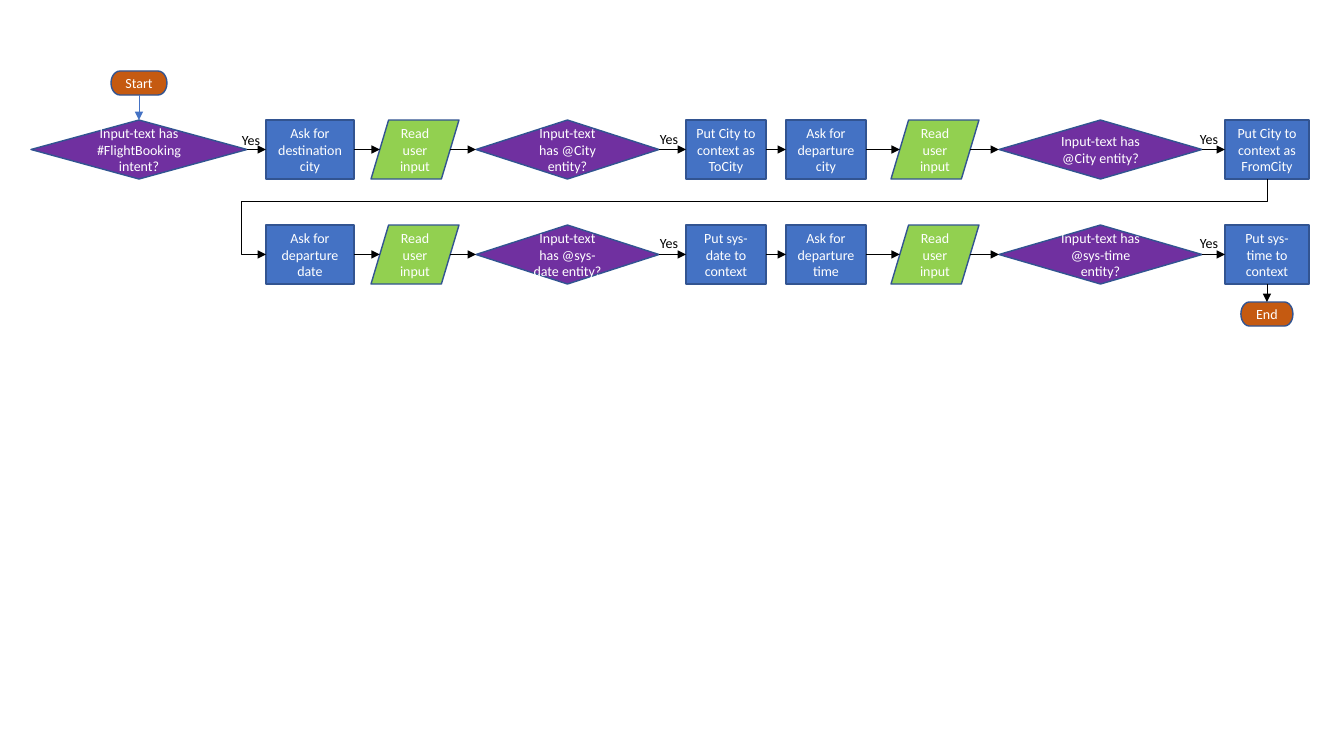
from pptx import Presentation
from pptx.dml.color import RGBColor as RGB
from pptx.enum.shapes import MSO_CONNECTOR as LINE, MSO_SHAPE as KIND
from pptx.enum.text import MSO_ANCHOR as ANCHOR, MSO_AUTO_SIZE as FIT, PP_ALIGN as ALIGN
from pptx.oxml.ns import qn
from pptx.util import Pt
from lxml.etree import SubElement as Sub

SCALE = 914400 / 100.8

WHITE = RGB(0xFF, 0xFF, 0xFF)
BLACK = RGB(0, 0, 0)
BLUE = RGB(0x44, 0x72, 0xC4)
NAVY = RGB(0x32, 0x54, 0x91)
GREEN = RGB(0x92, 0xD0, 0x50)
PURPLE = RGB(0x70, 0x30, 0xA0)
ORANGE = RGB(0xC5, 0x5A, 0x11)

STEP = (KIND.FLOWCHART_PROCESS, BLUE)
READ = (KIND.FLOWCHART_DATA, GREEN)
TEST = (KIND.FLOWCHART_DECISION, PURPLE)
CAP = (KIND.FLOWCHART_TERMINATOR, ORANGE)

# Columns shared by both rows: style, left, width
COLS = [
    (STEP, 266, 88), (READ, 371, 88), (TEST, 476, 183), (STEP, 686, 80),
    (STEP, 786, 80), (READ, 891, 88), (TEST, 999, 203), (STEP, 1225, 84),
]
TOPS = (120, 225)
HIGH = 59
ROWS = [
    ["Ask for destination city", "Read user input",
     "Input-text has @City entity?", "Put City to context as ToCity",
     "Ask for departure city", "Read user input",
     "Input-text has @City entity?", "Put City to context as FromCity"],
    ["Ask for departure date", "Read user input",
     "Input-text has @sys-date entity?", "Put sys-date to context",
     "Ask for departure time", "Read user input",
     "Input-text has @sys-time entity?", "Put sys-time to context"],
]
YES = [(232, 127), (650, 126), (650, 230), (1190, 126), (1190, 230)]


def px(num):
    return round(num * SCALE)


def write(frame, text, color, align):
    frame.word_wrap = True
    par = frame.paragraphs[0]
    par.text = text
    par.alignment = align
    font = par.runs[0].font
    font.name = "Calibri"
    font.size = Pt(10)
    font.color.rgb = color


def node(slide, style, text, left, top, wide, high=HIGH):
    kind, fill = style
    shape = slide.shapes.add_shape(kind, px(left), px(top), px(wide), px(high))
    shape.shadow.inherit = False
    shape.fill.solid()
    shape.fill.fore_color.rgb = fill
    shape.line.color.rgb = NAVY
    shape.line.width = Pt(1)
    shape.text_frame.vertical_anchor = ANCHOR.MIDDLE
    write(shape.text_frame, text, WHITE, ALIGN.CENTER)
    return shape


def label(slide, text, left, top):
    box = slide.shapes.add_textbox(px(left), px(top), px(42), px(27))
    write(box.text_frame, text, BLACK, ALIGN.LEFT)
    box.text_frame.auto_size = FIT.SHAPE_TO_FIT_TEXT


def dress(wire, color):
    wire.line.color.rgb = color
    wire.line.width = Pt(0.5)
    Sub(wire.line._get_or_add_ln(), qn("a:tailEnd"), type="triangle")
    Sub(wire._element.spPr, qn("a:effectLst"))


def port(shape, side):
    """Point at the middle of a side; slanted sides lie a tenth inward."""
    mid_x = shape.left + shape.width // 2
    mid_y = shape.top + shape.height // 2
    slant = shape.width // 10 if shape.auto_shape_type == KIND.FLOWCHART_DATA else 0
    return [
        (mid_x, shape.top),
        (shape.left + slant, mid_y),
        (mid_x, shape.top + shape.height),
        (shape.left + shape.width - slant, mid_y),
    ][side]


def arrow(slide, start, end, out=3, into=1, color=BLACK):
    wire = slide.shapes.add_connector(
        LINE.STRAIGHT, *port(start, out), *port(end, into))
    if start.auto_shape_type != KIND.FLOWCHART_DATA:
        wire.begin_connect(start, out)
    if end.auto_shape_type != KIND.FLOWCHART_DATA:
        wire.end_connect(end, into)
    dress(wire, color)


def elbow(slide, start, end):
    """Go down from start, back to the left, then into the left side of end."""
    x1, y1 = port(start, 2)
    x2, y2 = port(end, 1)
    wide, high = y2 - y1, x1 - x2
    left = (x1 + x2 - wide) // 2
    top = (y1 + y2 - high) // 2
    wire = slide.shapes.add_connector(
        LINE.ELBOW, left, top, left + wide, top + high)
    props = wire._element.spPr
    props.find(qn("a:xfrm")).set("rot", "5400000")
    geom = props.find(qn("a:prstGeom"))
    geom.set("prst", "bentConnector4")
    bends = geom.find(qn("a:avLst"))
    for name, part in (("adj1", 30300), ("adj2", 102500)):
        Sub(bends, qn("a:gd"), name=name, fmla=f"val {part}")
    dress(wire, BLACK)


def main():
    deck = Presentation()
    deck.slide_width, deck.slide_height = px(1344), px(756)
    slide = deck.slides.add_slide(deck.slide_layouts[6])

    # Flow steps
    intent = node(slide, TEST, "Input-text has #FlightBooking intent?",
                  31, TOPS[0], 216)
    rows = [
        [node(slide, style, text, left, top, wide)
         for (style, left, wide), text in zip(COLS, texts)]
        for top, texts in zip(TOPS, ROWS)
    ]
    first, last = rows
    end = node(slide, CAP, "End", 1241, 302, 52, 24)
    start = node(slide, CAP, "Start", 111, 71, 56, 24)

    # Arrows
    for row in rows:
        for here, after in zip(row, row[1:]):
            arrow(slide, here, after)
    arrow(slide, intent, first[0])
    arrow(slide, last[-1], end, 2, 0)
    arrow(slide, start, intent, 2, 0, BLUE)
    elbow(slide, first[-1], last[0])

    # Branch labels
    for left, top in YES:
        label(slide, "Yes", left, top)

    deck.save("out.pptx")


if __name__ == "__main__":
    main()
